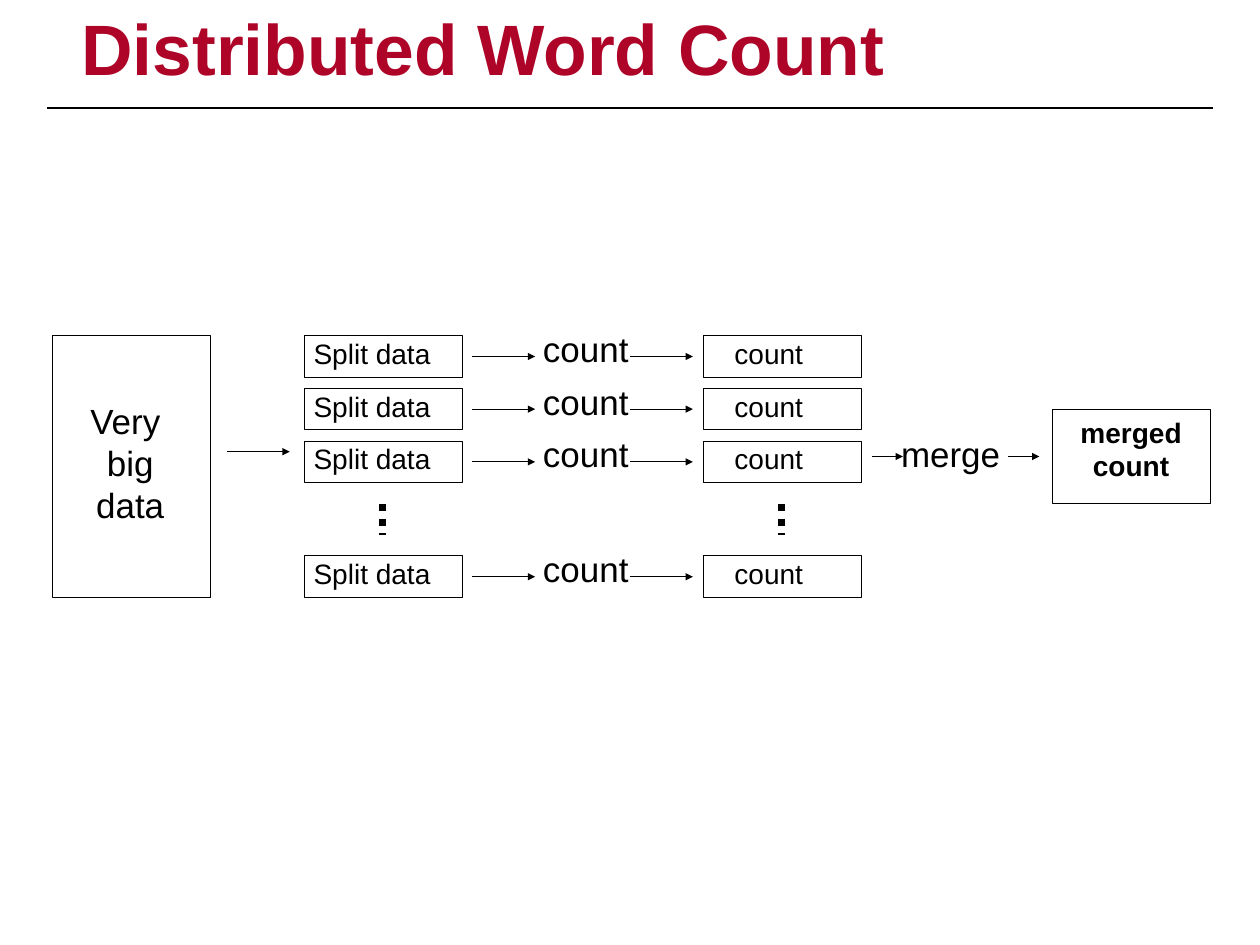
from dataclasses import dataclass

from lxml import etree
from pptx import Presentation, util as u
from pptx.dml.color import RGBColor
from pptx.enum import dml, shapes, text
from pptx.oxml.ns import qn

TITLE = "Distributed Word Count"
SOURCE = ["Very ", "big", "data"]
SPLIT, STEP, RESULT = ["Split data"], ["count"], ["count"]
MERGE, MERGED = ["merge"], ["merged", "count"]

# Grid in inches: column lefts, and row positions counted in row pitches.
COL = {"source": 0.59, "split": 3.44, "step": 6.03, "result": 7.94,
       "merge": 10.07, "merged": 11.88}
TOP, PITCH = 3.79, 0.595
ROWS = (0, 1, 2, 4.18)
BOX_W, BOX_H = 1.78, 0.47
SOURCE_H = ROWS[-1] * PITCH + BOX_H
MERGED_TOP, MERGED_H = 4.62, 1.07
ARROW, SHORT_ARROW = 0.71, 0.35
DOTS_TOP, DOTS_H = 5.69, 0.35


@dataclass(frozen=True)
class Theme:
    font: str = "Arial"
    ink: RGBColor = RGBColor(0x00, 0x00, 0x00)
    paper: RGBColor = RGBColor(0xFF, 0xFF, 0xFF)
    accent: RGBColor = RGBColor(0xAE, 0x04, 0x28)
    title: float = 58
    large: float = 28.4
    small: float = 22.8


THEME = Theme()

prs = Presentation()
prs.slide_width, prs.slide_height = u.Inches(14.22), u.Inches(10.67)
s = prs.slides.add_slide(prs.slide_layouts[6])


def inches(*lengths):
    return [u.Inches(n) for n in lengths]


def add_box(left, top, height=BOX_H):
    sp = s.shapes.add_shape(shapes.MSO_SHAPE.RECTANGLE,
                            *inches(left, top, BOX_W, height))
    sp.shadow.inherit = False
    sp.fill.solid()
    sp.fill.fore_color.rgb = THEME.paper
    sp.line.color.rgb = THEME.ink
    sp.line.width = u.Pt(0.75)


def add_text(lines, at, size, color=THEME.ink, bold=False, **frame):
    """Add a text box; several lines are centred, and frame sets its options."""
    tf = s.shapes.add_textbox(*inches(*at)).text_frame
    options = {"word_wrap": False,
               "auto_size": text.MSO_AUTO_SIZE.SHAPE_TO_FIT_TEXT} | frame
    for name, value in options.items():
        setattr(tf, name, value)
    for i, line in enumerate(lines):
        p = tf.add_paragraph() if i else tf.paragraphs[0]
        p.alignment = text.PP_ALIGN.CENTER if len(lines) > 1 else text.PP_ALIGN.LEFT
        r = p.add_run()
        r.text = line
        for name, value in {"name": THEME.font, "size": u.Pt(size),
                            "bold": bold}.items():
            setattr(r.font, name, value)
        r.font.color.rgb = color
    return tf


def add_line(left, top, right, bottom, width):
    c = s.shapes.add_connector(shapes.MSO_CONNECTOR.STRAIGHT,
                               *inches(left, top, right, bottom))
    c.line.color.rgb = THEME.ink
    c.line.width = u.Pt(width)
    etree.SubElement(c._element.spPr, qn("a:effectLst"))
    return c


def add_arrow(left, y, length=ARROW):
    c = add_line(left, y, left + length, y, 1)
    etree.SubElement(c.line._get_or_add_ln(), qn("a:tailEnd"), type="triangle")


def add_dots(column):
    x = COL[column] + BOX_W / 2 - 0.01
    c = add_line(x, DOTS_TOP, x, DOTS_TOP + DOTS_H, 6)
    c.line.dash_style = dml.MSO_LINE.ROUND_DOT


add_line(0.53, 1.22, 13.69, 1.22, 2)
title = add_text([TITLE], (0.78, 0.19, 12.67, 0.93), THEME.title, THEME.accent, True,
                 word_wrap=True, auto_size=text.MSO_AUTO_SIZE.NONE,
                 vertical_anchor=text.MSO_ANCHOR.MIDDLE,
                 margin_left=u.Inches(0.14), margin_right=u.Inches(0.14),
                 margin_top=u.Inches(0.07), margin_bottom=u.Inches(0.07))
title.paragraphs[0].line_spacing = 0.7

add_box(COL["source"], TOP, SOURCE_H)
add_text(SOURCE, (COL["source"] + 0.33, 4.46, 1.1, 1.54), THEME.large)
add_arrow(2.56, 5.1)

for row in ROWS:
    top = TOP + row * PITCH
    middle = top + BOX_H / 2
    add_box(COL["split"], top)
    add_text(SPLIT, (COL["split"], top - 0.04, 1.52, 0.48), THEME.small)
    add_arrow(COL["split"] + BOX_W + 0.11, middle)
    add_text(STEP, (COL["step"], top - 0.14, 1.17, 0.58), THEME.large)
    add_arrow(COL["result"] - 0.12 - ARROW, middle)
    add_box(COL["result"], top)
    add_text(RESULT, (COL["result"] + 0.25, top - 0.04, 0.98, 0.48), THEME.small)

for column in ("split", "result"):
    add_dots(column)

merge_y = MERGED_TOP + MERGED_H / 2
add_arrow(COL["result"] + BOX_W + 0.12, merge_y, SHORT_ARROW)
add_text(MERGE, (COL["merge"], 4.83, 1.32, 0.58), THEME.large)
add_arrow(COL["merged"] - 0.15 - SHORT_ARROW, merge_y, SHORT_ARROW)
add_box(COL["merged"], MERGED_TOP, MERGED_H)
add_text(MERGED, (COL["merged"] + 0.21, MERGED_TOP + 0.02, 1.35, 0.87),
         THEME.small, bold=True)

prs.save("out.pptx")
